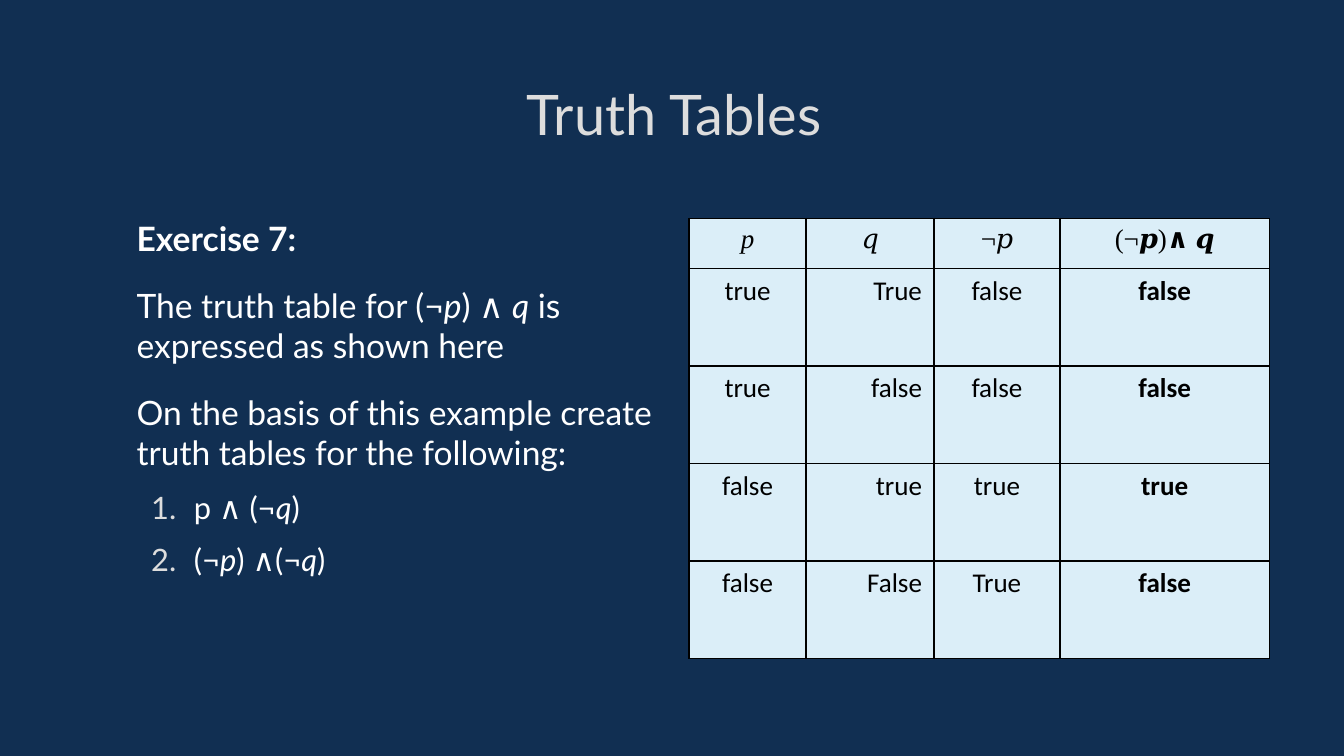
"""Build the Truth Tables exercise slide."""
from lxml import etree
from pptx import Presentation
from pptx.dml.color import RGBColor
from pptx.enum import text
from pptx.oxml import ns
from pptx.util import Inches, Pt

COLORS = {"navy": "112F52", "silver": "DDDDDD", "white": "FFFFFF",
          "black": "000000", "ice": "DBEEF8"}
ALIGN = text.PP_ALIGN


def add_element(parent, tag, **attributes):
    return etree.SubElement(parent, ns.qn(tag), attributes)


def style_run(run, font_name, size, color, bold=False, italic=False):
    font = run.font
    font.name, font.size, font.bold, font.italic = font_name, Pt(size), bold, italic
    font.color.rgb = RGBColor.from_string(COLORS[color])


presentation = Presentation()
presentation.slide_width = Inches(11.02)
presentation.slide_height = Inches(6.2)
slide = presentation.slides.add_slide(presentation.slide_layouts[1])
slide.background.fill.solid()
slide.background.fill.fore_color.rgb = RGBColor.from_string(COLORS["navy"])

title, body = slide.shapes.title, slide.placeholders[1]
for shape, box in ((title, (0.65, 0.38, 9.76, 1.09)), (body, (0.65, 1.79, 4.76, 3.58))):
    shape.left, shape.top, shape.width, shape.height = map(Inches, box)
    frame = shape.text_frame
    frame.word_wrap = True
    frame.auto_size = text.MSO_AUTO_SIZE.NONE
    frame.margin_left = frame.margin_top = frame.margin_right = frame.margin_bottom = 0

title.text_frame.text = "Truth Tables"
title.text_frame.vertical_anchor = text.MSO_ANCHOR.MIDDLE
title.text_frame.paragraphs[0].alignment = ALIGN.CENTER
style_run(title.text_frame.paragraphs[0].runs[0], "Lato", 33, "silver")

# Asterisks enclose italic variables.
body_lines = [
    (0, "Exercise 7:"),
    (0, "The truth table for (¬*p*) ∧ *q* is expressed as shown here"),
    (0, "On the basis of this example create truth tables for the following:"),
    (1, "p ∧ (¬*q*)"),
    (1, "(¬*p*) ∧(¬*q*)"),
]
for index, (level, line) in enumerate(body_lines):
    frame = body.text_frame
    paragraph = frame.add_paragraph() if index else frame.paragraphs[0]
    paragraph.level = level
    properties = paragraph._p.get_or_add_pPr()
    properties.set("marL", str(Inches(0.94 if level else 0.47)))
    properties.set("indent", str(Inches(-0.35 if level else 0)))
    if level:
        bullet_color = add_element(properties, "a:buClr")
        add_element(bullet_color, "a:srgbClr", val=COLORS["silver"])
        add_element(properties, "a:buFont", typeface="Lato")
        add_element(properties, "a:buAutoNum", type="arabicPeriod")
    else:
        add_element(properties, "a:buNone")
    paragraph.space_before = Pt((9.3 if level else 15.6) if index else 0)
    for position, part in enumerate(line.split("*")):
        if part:
            run = paragraph.add_run()
            run.text = part
            style_run(run, "Lato", 18.2 if level else 19.8, "white",
                      bold=index == 0, italic=position % 2 == 1)

truth_rows = [
    ["p", "𝑞", "¬𝑝", "(¬𝒑)∧ 𝒒"],
    ["true", "True", "false", "false"],
    ["true", "false", "false", "false"],
    ["false", "true", "true", "true"],
    ["false", "False", "True", "false"],
]
column_widths = [0.96, 1.05, 1.03, 1.72]
table = slide.shapes.add_table(len(truth_rows), len(column_widths), Inches(5.65),
                               Inches(1.79), Inches(4.76), Inches(3.61)).table
table.first_row = table.horz_banding = False
for column, width in zip(table.columns, column_widths):
    column.width = Inches(width)
for row_index, values in enumerate(truth_rows):
    header = row_index == 0
    table.rows[row_index].height = Inches(0.41 if header else 0.8)
    for column_index, value in enumerate(values):
        cell = table.cell(row_index, column_index)
        cell_properties = cell._tc.get_or_add_tcPr()
        for side in ("a:lnL", "a:lnR", "a:lnT", "a:lnB"):
            border = add_element(cell_properties, side, w=str(Pt(0.96)))
            border_fill = add_element(border, "a:solidFill")
            add_element(border_fill, "a:srgbClr", val=COLORS["black"])
        cell.fill.solid()
        cell.fill.fore_color.rgb = RGBColor.from_string(COLORS["ice"])
        cell.text_frame.text = value
        paragraph = cell.text_frame.paragraphs[0]
        paragraph.alignment = ALIGN.RIGHT if column_index == 1 and not header else ALIGN.CENTER
        style_run(paragraph.runs[0], "Times New Roman" if header else "Calibri", 16, "black",
                  bold=column_index == 3 and not header, italic=value == "p")

presentation.save("out.pptx")
